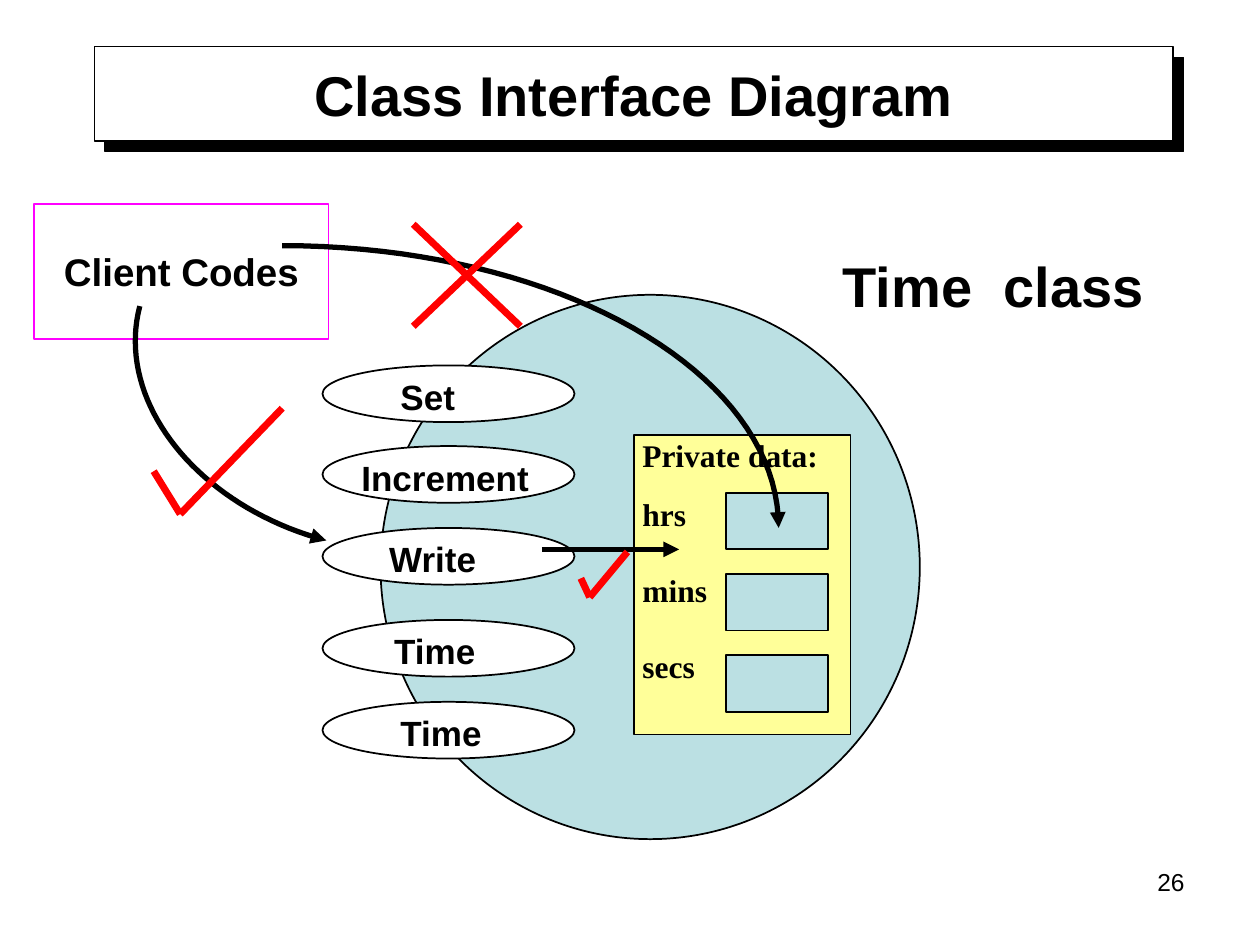
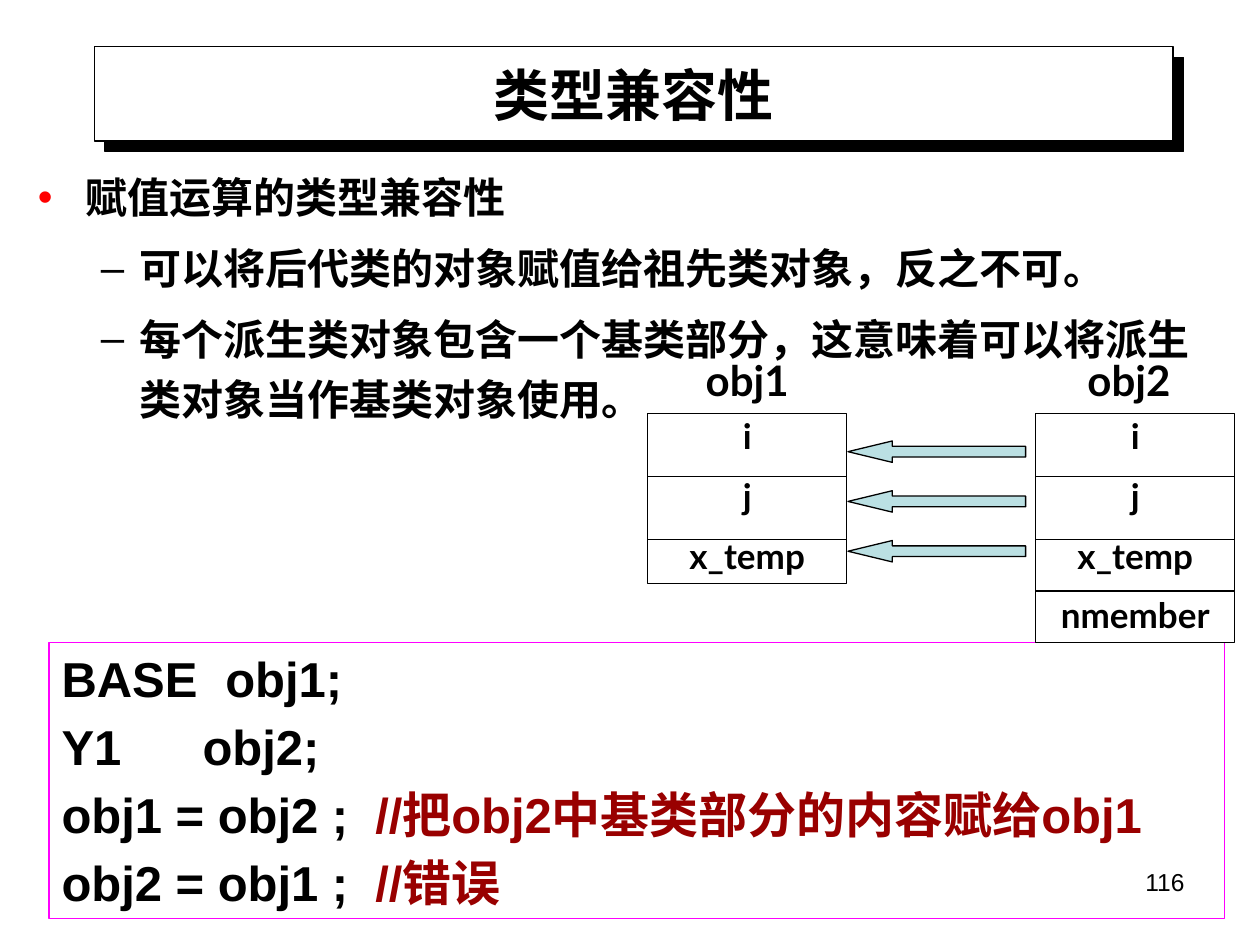
from dataclasses import dataclass
from typing import Optional

import pptx
import pptx.dml.color
import pptx.enum.shapes
import pptx.enum.text
import pptx.oxml
import pptx.oxml.ns
import pptx.util
from lxml import etree

Inches = pptx.util.Inches
Pt = pptx.util.Pt
MSO = pptx.enum.shapes.MSO_SHAPE
ALIGN = pptx.enum.text.PP_ALIGN
ANCHOR = pptx.enum.text.MSO_ANCHOR
qn = pptx.oxml.ns.qn

COLORS = {
    "ink": "000000",
    "paper": "FFFFFF",
    "teal": "BBE0E3",
    "yellow": "FFFF99",
    "magenta": "FF00FF",
    "red": "FF0000",
    "comment": "990000",
}
CJK = "Noto Sans CJK SC"
Point = tuple[float, float]


@dataclass(frozen=True)
class Box:
    x: float
    y: float
    w: float
    h: float

    def emu(self) -> list[int]:
        return [Inches(v) for v in (self.x, self.y, self.w, self.h)]


@dataclass(frozen=True)
class Style:
    size: float
    font: str = "Arial"
    bold: bool = True
    color: str = "ink"


@dataclass(frozen=True)
class Stroke:
    start: Point
    end: Point
    color: str = "ink"
    width: float = 0.75
    arrow: bool = False


@dataclass(frozen=True)
class Method:
    name: str
    y: float
    text_x: float


@dataclass(frozen=True)
class ObjectLayout:
    name: str
    x: float
    label_x: float
    height: float
    members: list[str]
    dividers: list[float]


@dataclass(frozen=True)
class CodeLine:
    text: str
    tab: float
    comment: str = ""


TITLE_BOX = Box(0.75, 0.37, 8.56, 0.75)
NUMBER_BOX = Box(7.17, 6.83, 2.33, 0.52)
TITLE = Style(32)
LABEL = Style(20)
MEMBER = Style(20, "Lato")
CODE = Style(28)
COMMENT = Style(28, color="comment")

METHODS = [
    Method("Set", 2.9, 3.08),
    Method("Increment", 3.54, 2.77),
    Method("Write", 4.19, 2.99),
    Method("Time", 4.92, 3.03),
    Method("Time", 5.57, 3.08),
]
FIELDS = [("Private data:", 0), ("hrs", 12), ("mins", 22), ("secs", 22)]
CURVES = [
    [(2.24, 1.95), (4.42, 1.95), (6.18, 2.95), (6.18, 4.19)],
    [(1.11, 2.43), (0.91, 3.19), (1.57, 4.02), (2.59, 4.29)],
]
MARKS = [
    [(3.28, 1.78), (4.13, 2.59)],
    [(4.13, 1.78), (3.28, 2.59)],
    [(1.22, 3.74), (1.43, 4.08), (2.24, 3.24)],
    [(4.61, 4.59), (4.68, 4.74), (4.98, 4.38)],
]
BULLETS = [
    (0, "赋值运算的类型兼容性"),
    (1, "可以将后代类的对象赋值给祖先类对象，反之不可。"),
    (1, "每个派生类对象包含一个基类部分，这意味着可以将派生类对象当作基类对象使用。"),
]
LEVELS = [("•", "red", 0.38, -0.38), ("–", "ink", 0.81, -0.31)]
OBJECTS = [
    ObjectLayout("obj1", 5.14, 5.43, 1.35, ["i", "j", "x_temp"], [3.78, 4.28]),
    ObjectLayout("obj2", 8.22, 8.46, 1.82, ["i", "j", "x_temp", "nmember"],
                 [3.78, 4.28, 4.69]),
]
CODE_LINES = [
    CodeLine("BASE\tobj1;", 1.3),
    CodeLine("Y1\tobj2;", 1.12),
    CodeLine("obj1 = obj2 ;\t", 2.49, "//把obj2中基类部分的内容赋给obj1"),
    CodeLine("obj2 = obj1 ;\t", 2.49, "//错误"),
]


def rgb(name: str) -> pptx.dml.color.RGBColor:
    return pptx.dml.color.RGBColor.from_string(COLORS[name])


def add_xml(parent, tag: str, **attrs: str):
    el = etree.SubElement(parent, qn(tag))
    for key, value in attrs.items():
        el.set(key, value)
    return el


def add_run(p, text: str, style: Style) -> None:
    r = p.add_run()
    r.text = text
    r.font.size = Pt(style.size)
    r.font.bold = style.bold
    r.font.name = style.font
    r.font.color.rgb = rgb(style.color)
    add_xml(r.font._element, "a:ea", typeface=CJK)


def next_paragraph(tf, index: int, space: float = 0):
    p = tf.add_paragraph() if index else tf.paragraphs[0]
    if index and space:
        p.space_before = Pt(space)
    return p


def add_text(slide, box: Box, text: str, style: Style, align=ALIGN.LEFT):
    tf = slide.shapes.add_textbox(*box.emu()).text_frame
    tf.word_wrap = True
    p = tf.paragraphs[0]
    p.alignment = align
    add_run(p, text, style)
    return p


def add_box(slide, kind, box: Box, fill: Optional[str] = None,
            line: str = "ink", width: float = 1):
    sp = slide.shapes.add_shape(kind, *box.emu())
    sp.shadow.inherit = False
    if fill:
        sp.fill.solid()
        sp.fill.fore_color.rgb = rgb(fill)
    else:
        sp.fill.background()
    sp.line.color.rgb = rgb(line)
    sp.line.width = Pt(width)
    sp.text_frame.vertical_anchor = ANCHOR.TOP
    return sp


def style_line(sp, color: str, width: float, arrow: bool) -> None:
    sp.line.color.rgb = rgb(color)
    sp.line.width = Pt(width)
    sp_pr = sp.element.spPr
    if arrow:
        add_xml(sp_pr.find(qn("a:ln")), "a:tailEnd", type="triangle")
    add_xml(sp_pr, "a:effectLst")


def add_stroke(slide, stroke: Stroke) -> None:
    ends = [Inches(v) for v in (*stroke.start, *stroke.end)]
    cx = slide.shapes.add_connector(pptx.enum.shapes.MSO_CONNECTOR.STRAIGHT, *ends)
    style_line(cx, stroke.color, stroke.width, stroke.arrow)


def add_curve(slide, control: list[Point], steps: int = 40) -> None:
    points = []
    for i in range(steps + 1):
        t = i / steps
        weights = ((1 - t) ** 3, 3 * t * (1 - t) ** 2, 3 * t * t * (1 - t), t ** 3)
        points.append(tuple(
            Inches(sum(w * c[axis] for w, c in zip(weights, control)))
            for axis in (0, 1)))
    fb = slide.shapes.build_freeform(*points[0])
    fb.add_line_segments(points[1:], close=False)
    sp = fb.convert_to_shape()
    sp.fill.background()
    style_line(sp, "ink", 3, True)


def move_placeholder(sp, box: Box):
    sp.left, sp.top, sp.width, sp.height = box.emu()
    tf = sp.text_frame
    tf.word_wrap = True
    tf.auto_size = pptx.enum.text.MSO_AUTO_SIZE.NONE
    return tf


def add_slide(prs, layout: int, title: str, number: str):
    slide = prs.slides.add_slide(prs.slide_layouts[layout])
    tf = move_placeholder(slide.shapes.title, TITLE_BOX)
    tf.vertical_anchor = ANCHOR.MIDDLE
    tf.paragraphs[0].alignment = ALIGN.CENTER
    add_run(tf.paragraphs[0], title, TITLE)
    add_text(slide, NUMBER_BOX, number, Style(14, bold=False), ALIGN.RIGHT)
    return slide


def add_master_band(prs, slide) -> None:
    band = add_box(slide, MSO.RECTANGLE, TITLE_BOX, "paper", width=0.75)
    effects = band.element.spPr.find(qn("a:effectLst"))
    shadow = add_xml(effects, "a:outerShdw", dist=str(Pt(8.5)), dir="2700000",
                     algn="ctr", rotWithShape="0")
    add_xml(shadow, "a:srgbClr", val=COLORS["ink"])
    prs.slide_master.element.cSld.spTree.insert(2, band.element)


def build_interface(prs):
    slide = add_slide(prs, 5, "Class Interface Diagram", "26")
    add_box(slide, MSO.OVAL, Box(3.02, 2.34, 4.28, 4.32), "teal")
    for m in METHODS:
        add_box(slide, MSO.OVAL, Box(2.56, m.y, 2, 0.45), "paper")
        add_text(slide, Box(m.text_x, m.y + 0.03, 1.6, 0.43), m.name, LABEL)

    add_box(slide, MSO.RECTANGLE, Box(5.03, 3.45, 1.72, 2.38), "yellow")
    tf = slide.shapes.add_textbox(*Box(5, 3.41, 1.7, 2.07).emu()).text_frame
    tf.word_wrap = True
    for i, (name, space) in enumerate(FIELDS):
        add_run(next_paragraph(tf, i, space), name, Style(18, "Times New Roman"))
    for i in range(3):
        add_box(slide, MSO.RECTANGLE, Box(5.76, 3.91 + 0.645 * i, 0.81, 0.45), "teal")
    add_text(slide, Box(6.59, 1.95, 2.7, 0.63), "Time  class", TITLE)

    client = add_box(slide, MSO.RECTANGLE, Box(0.27, 1.62, 2.34, 1.07),
                     line="magenta", width=0.75)
    client.text_frame.vertical_anchor = ANCHOR.MIDDLE
    client.text_frame.paragraphs[0].alignment = ALIGN.CENTER
    add_run(client.text_frame.paragraphs[0], "Client Codes", Style(22))

    for control in CURVES:
        add_curve(slide, control)
    add_stroke(slide, Stroke((4.3, 4.36), (5.39, 4.36), width=3, arrow=True))
    for mark in MARKS:
        for start, end in zip(mark, mark[1:]):
            add_stroke(slide, Stroke(start, end, "red", 4))
    return slide


def add_bullets(slide) -> None:
    tf = move_placeholder(slide.placeholders[1], Box(0.2, 1.23, 9.46, 3.07))
    for i, (level, text) in enumerate(BULLETS):
        char, color, margin, indent = LEVELS[level]
        p = next_paragraph(tf, i, 6)
        p.level = level
        p.line_spacing = 1.2
        if i == 0:
            p.space_before = Pt(0)
        p_pr = p._p.get_or_add_pPr()
        p_pr.set("marL", str(Inches(margin)))
        p_pr.set("indent", str(Inches(indent)))
        add_xml(add_xml(p_pr, "a:buClr"), "a:srgbClr", val=COLORS[color])
        add_xml(p_pr, "a:buFont", typeface="Arial")
        add_xml(p_pr, "a:buChar", char=char)
        add_run(p, text, Style(24, CJK))


def add_object(slide, obj: ObjectLayout) -> None:
    label = add_text(slide, Box(obj.label_x, 2.81, 1, 0.46), obj.name,
                     Style(24, "Lato"), ALIGN.CENTER)
    label.line_spacing = 0.9
    sp = add_box(slide, MSO.RECTANGLE, Box(obj.x, 3.28, 1.58, obj.height), width=0.75)
    for i, member in enumerate(obj.members):
        p = next_paragraph(sp.text_frame, i, 12.5)
        p.alignment = ALIGN.CENTER
        p.line_spacing = 0.9
        add_run(p, member, MEMBER)
    for y in obj.dividers:
        add_stroke(slide, Stroke((obj.x, y), (obj.x + 1.58, y)))


def add_code(slide) -> None:
    sp = add_box(slide, MSO.RECTANGLE, Box(0.39, 5.1, 9.33, 2.19),
                 line="magenta", width=0.75)
    for i, line in enumerate(CODE_LINES):
        p = next_paragraph(sp.text_frame, i, 5.2)
        p.alignment = ALIGN.LEFT
        tabs = add_xml(p._p.get_or_add_pPr(), "a:tabLst")
        add_xml(tabs, "a:tab", pos=str(Inches(line.tab)), algn="l")
        add_run(p, line.text, CODE)
        if line.comment:
            add_run(p, line.comment, COMMENT)


def build_compatibility(prs) -> None:
    slide = add_slide(prs, 1, "类型兼容性", "116")
    add_bullets(slide)
    add_code(slide)
    for obj in OBJECTS:
        add_object(slide, obj)
    for i in range(3):
        arrow = add_box(slide, MSO.LEFT_ARROW, Box(6.73, 3.5 + 0.395 * i, 1.41, 0.17),
                        "teal", width=0.75)
        arrow.adjustments[0] = 0.5
        arrow.adjustments[1] = 2.07


def main() -> None:
    prs = pptx.Presentation()
    prs.slide_width, prs.slide_height = Inches(10), Inches(7.5)
    add_master_band(prs, build_interface(prs))
    build_compatibility(prs)
    prs.save("out.pptx")


if __name__ == "__main__":
    main()
